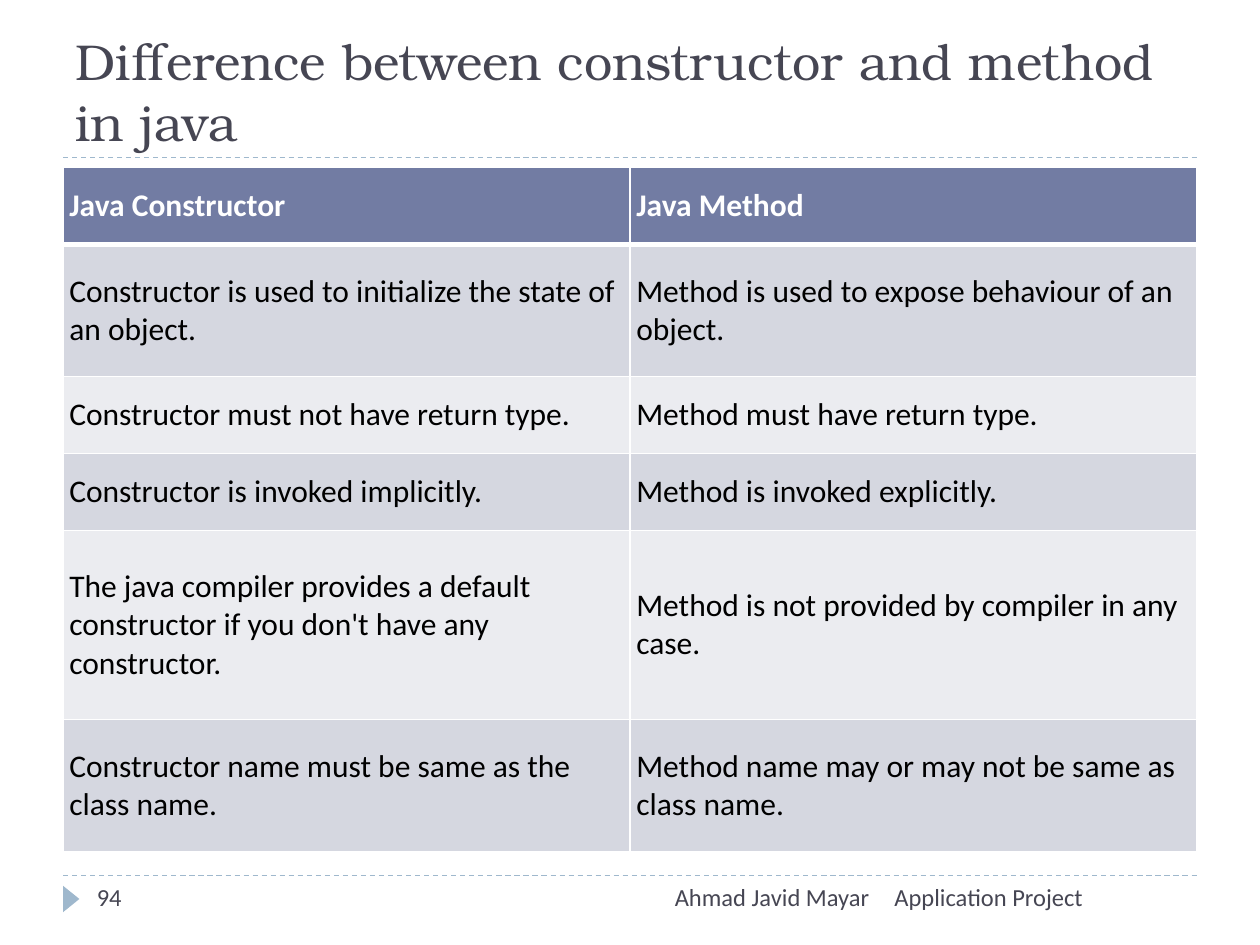
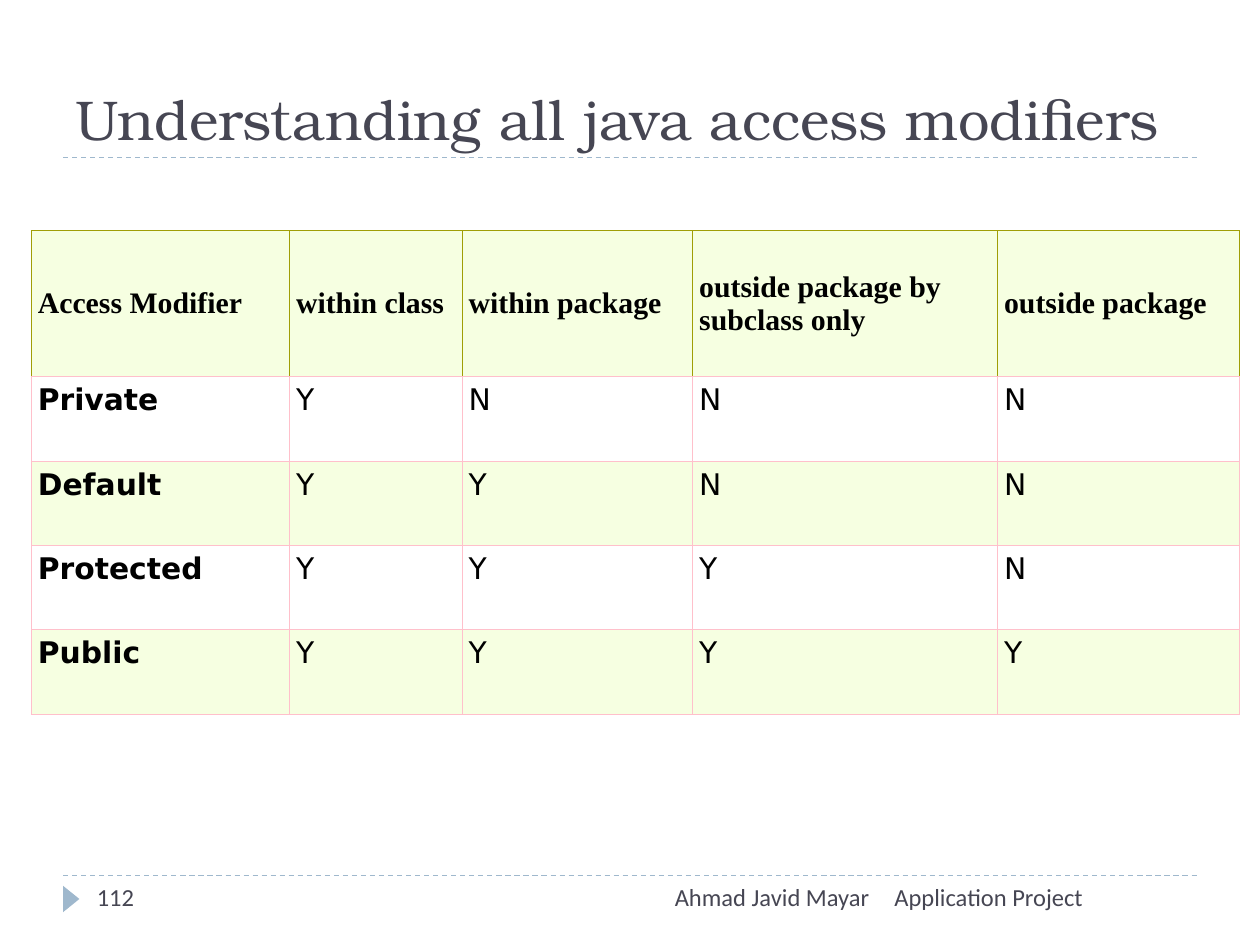
import pptx
import pptx.dml.color
import pptx.enum.dml
import pptx.enum.shapes
import pptx.enum.text
import pptx.oxml
import pptx.oxml.ns
import pptx.util
from pptx.util import Inches

INK, RULE = "464653", "9FB8CD"
ALIGN = pptx.enum.text.PP_ALIGN
ANCHOR = pptx.enum.text.MSO_ANCHOR


def rgb(code):
    return pptx.dml.color.RGBColor.from_string(code)


def write(frame, text, size, font, color=INK, bold=False, align=ALIGN.LEFT):
    frame.word_wrap = True
    line = frame.paragraphs[0]
    line.text = text
    line.alignment = align
    line.font.size = pptx.util.Pt(size)
    line.font.name = font
    line.font.bold = bold
    line.font.color.rgb = rgb(color)


pages = [
    dict(
        title="Difference between constructor and method in java",
        size=28.8, number="94", left=0.5, top=1.33,
        cols=[4.5, 4.5], rows=[0.61, 1.05, 0.61, 0.61, 1.5, 1.05],
        head=dict(size=18, font="Calibri", color="FFFFFF", bold=True),
        body=dict(size=18, font="Calibri", color="000000"),
        fills=["727CA3", "D5D7E0", "EBECF0"], anchor=ANCHOR.MIDDLE,
        edge=("FFFFFF", 1), frame=("FFFFFF", 1), under=("FFFFFF", 3),
        bold_first=False,
        cells=[
            ["Java Constructor", "Java Method"],
            ["Constructor is used to initialize the state of an object.",
             "Method is used to expose behaviour of an object."],
            ["Constructor must not have return type.",
             "Method must have return type."],
            ["Constructor is invoked implicitly.",
             "Method is invoked explicitly."],
            ["The java compiler provides a default constructor if you "
             "don't have any constructor.",
             "Method is not provided by compiler in any case."],
            ["Constructor name must be same as the class name.",
             "Method name may or may not be same as class name."],
        ],
    ),
    dict(
        title="Understanding all java access modifiers",
        size=32, number="112", left=0.25, top=1.83,
        cols=[2.05, 1.37, 1.83, 2.42, 1.92], rows=[1.16] + [0.67] * 4,
        head=dict(size=17, font="Times New Roman", color="000000", bold=True),
        body=dict(size=17, font="DejaVu Sans", color="000000",
                  align=ALIGN.JUSTIFY),
        fills=["F6FFE1", "FFFFFF", "F6FFE1"], anchor=ANCHOR.TOP,
        edge=("FFC0CB", 0.75), frame=("A09E06", 0.75), under=("FFC0CB", 0.75),
        bold_first=True,
        cells=[
            ["Access Modifier", "within class", "within package",
             "outside package by subclass only", "outside package"],
            ["Private", *"YNNN"],
            ["Default", *"YYNN"],
            ["Protected", *"YYYN"],
            ["Public", *"YYYY"],
        ],
    ),
]

deck = pptx.Presentation()
deck.slide_width, deck.slide_height = Inches(10), Inches(7.5)

for page in pages:
    slide = deck.slides.add_slide(deck.slide_layouts[6])
    shapes = slide.shapes

    # Rules and page marker
    for y in (6.95, 1.25):
        rule = shapes.add_connector(
            pptx.enum.shapes.MSO_CONNECTOR.STRAIGHT,
            Inches(0.5), Inches(y), Inches(9.5), Inches(y))
        rule.line.color.rgb = rgb(RULE)
        rule.line.width = pptx.util.Pt(0.75)
        rule.line.dash_style = pptx.enum.dml.MSO_LINE.DASH
        rule._element.spPr.append(pptx.oxml.parse_xml(
            f"<a:effectLst {pptx.oxml.ns.nsdecls('a')}/>"))
    mark = shapes.add_shape(
        pptx.enum.shapes.MSO_SHAPE.ISOSCELES_TRIANGLE,
        Inches(0.46), Inches(7.07), Inches(0.21), Inches(0.13))
    mark.rotation = 90
    mark.shadow.inherit = False
    mark.fill.solid()
    mark.fill.fore_color.rgb = rgb(RULE)
    mark.line.fill.background()

    # Title and footer
    title = shapes.add_textbox(
        Inches(0.5), Inches(0.17), Inches(9), Inches(1.08)).text_frame
    title.vertical_anchor = ANCHOR.BOTTOM
    write(title, page["title"], page["size"], "TeX Gyre Bonum")
    for left, width, text, align in (
            (7, 2.5, "Application Project", ALIGN.LEFT),
            (3.17, 3.83, "Ahmad Javid Mayar", ALIGN.RIGHT),
            (0.67, 2.17, page["number"], ALIGN.LEFT)):
        note = shapes.add_textbox(
            Inches(left), Inches(6.95), Inches(width), Inches(0.4))
        write(note.text_frame, text, 14, "Calibri", align=align)

    # Table
    cols, rows = page["cols"], page["rows"]
    table = shapes.add_table(
        len(rows), len(cols), Inches(page["left"]), Inches(page["top"]),
        Inches(sum(cols)), Inches(sum(rows))).table
    for col, width in zip(table.columns, cols):
        col.width = Inches(width)
    for row, height in zip(table.rows, rows):
        row.height = Inches(height)
    for r, texts in enumerate(page["cells"]):
        for c, text in enumerate(texts):
            cell = table.cell(r, c)
            style = dict(page["body"] if r else page["head"])
            if r and c == 0:
                style["bold"] = page["bold_first"]
            write(cell.text_frame, text, **style)
            cell.vertical_anchor = page["anchor"] if r else ANCHOR.MIDDLE
            cell.margin_left = cell.margin_right = Inches(0.05)
            cell.margin_top = cell.margin_bottom = Inches(0.05)

            side = page["edge"] if r else page["frame"]
            above = page["under"] if r == 1 else side
            below = page["edge"] if r else page["under"]
            for tag, (color, width) in zip("LRTB", (side, side, above, below)):
                cell._tc.get_or_add_tcPr().append(pptx.oxml.parse_xml(
                    f"<a:ln{tag} {pptx.oxml.ns.nsdecls('a')} "
                    f'w="{pptx.util.Pt(width)}"><a:solidFill>'
                    f'<a:srgbClr val="{color}"/></a:solidFill></a:ln{tag}>'))
            cell.fill.solid()
            shade = 2 - r % 2 if r else 0
            cell.fill.fore_color.rgb = rgb(page["fills"][shade])

deck.save("out.pptx")
